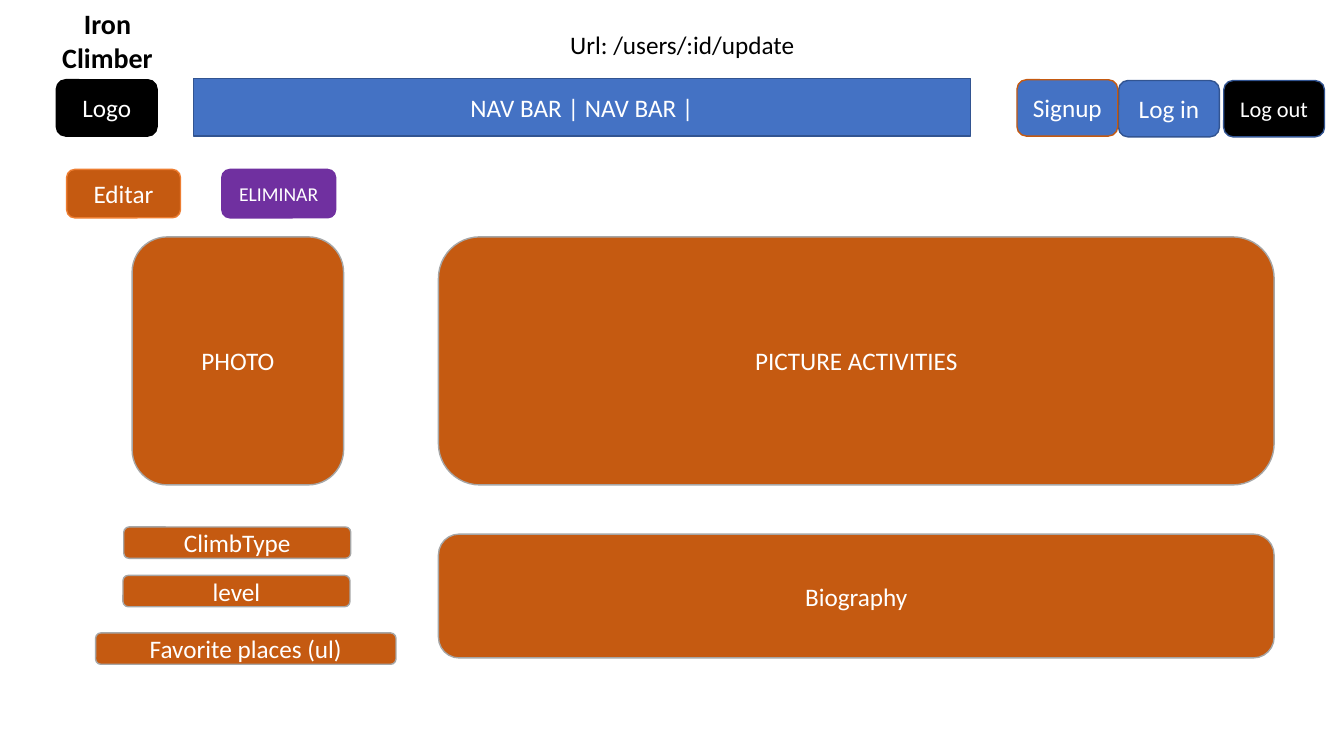
"""Build the user update page wireframe slide."""
import pptx
import pptx.util
import pptx.dml.color
import pptx.enum.shapes
import pptx.enum.text

Cm = pptx.util.Cm
RGBColor = pptx.dml.color.RGBColor
SHAPE = pptx.enum.shapes.MSO_SHAPE
ALIGN = pptx.enum.text.PP_ALIGN
ANCHOR = pptx.enum.text.MSO_ANCHOR

WHITE = RGBColor(0xFF, 0xFF, 0xFF)
BLACK = RGBColor(0x00, 0x00, 0x00)
BLUE = RGBColor(0x44, 0x72, 0xC4)
NAVY = RGBColor(0x32, 0x54, 0x91)
RUST = RGBColor(0xC5, 0x5A, 0x11)
ORANGE = RGBColor(0xED, 0x7D, 0x31)
PURPLE = RGBColor(0x70, 0x30, 0xA0)
GRAY = RGBColor(0xA6, 0xA6, 0xA6)

NAV_BUTTON = (2.54, 1.42)
ACTION_BUTTON = (2.87, 1.22)
FIELD = (5.72, 0.79)
TOP_ROW, PANEL_TOP, ACTION_TOP = 2.01, 5.97, 4.27
PANEL_LEFT, PANEL_WIDTH, PANEL_HEIGHT = 11.05, 21.06, 6.25

# text, (left, top), (width, height), fill, line, size
BOXES = [
    ("Log in", (28.19, 2.03), NAV_BUTTON, BLUE, NAVY, 18),
    ("Logo", (1.42, TOP_ROW), NAV_BUTTON, BLACK, BLACK, 18),
    ("NAV BAR | NAV BAR |", (4.88, 1.98), (19.58, 1.45), BLUE, NAVY, 18),
    ("Signup", (25.63, TOP_ROW), NAV_BUTTON, BLUE, RUST, 18),
    ("Log out", (30.84, 2.03), NAV_BUTTON, BLACK, NAVY, 16),
    ("PHOTO", (3.33, PANEL_TOP), (5.33, PANEL_HEIGHT), RUST, GRAY, 18),
    ("ClimbType", (3.12, 13.28), FIELD, RUST, GRAY, 18),
    ("level", (3.1, 14.5), FIELD, RUST, GRAY, 18),
    ("Favorite places (ul)", (2.41, 15.95), (7.57, 0.79), RUST, GRAY, 18),
    ("PICTURE ACTIVITIES", (PANEL_LEFT, PANEL_TOP), (PANEL_WIDTH, PANEL_HEIGHT), RUST, GRAY, 18),
    ("Biography", (PANEL_LEFT, 13.46), (PANEL_WIDTH, 3.12), RUST, GRAY, 18),
    ("Editar", (1.68, ACTION_TOP), ACTION_BUTTON, RUST, ORANGE, 18),
    ("ELIMINAR", (5.59, ACTION_TOP), ACTION_BUTTON, PURPLE, PURPLE, 14),
]
LABELS = [
    (["Iron", "Climber"], (1.3, 0.05), (2.82, 1.96), ALIGN.CENTER, 20, True),
    (["Url: /users/:id/update"], (14.12, 0.61), (6.22, 1.02), ALIGN.LEFT, 18, False),
]


def write(tf, lines, align, color, **font):
    """Fill a text frame with one paragraph per line."""
    for i, line in enumerate(lines):
        p = tf.paragraphs[0] if i == 0 else tf.add_paragraph()
        p.alignment = align
        r = p.add_run()
        r.text = line
        for name, value in font.items():
            setattr(r.font, name, value)
        r.font.color.rgb = color


def main():
    """Draw the boxes and labels and save the slide."""
    prs = pptx.Presentation()
    prs.slide_width, prs.slide_height = Cm(33.87), Cm(19.05)
    s = prs.slides.add_slide(prs.slide_layouts[6])

    for text, place, extent, fill, line, size in BOXES:
        kind = SHAPE.RECTANGLE if text.startswith("NAV") else SHAPE.ROUNDED_RECTANGLE
        sp = s.shapes.add_shape(kind, *map(Cm, place + extent))
        sp.shadow.inherit = False
        sp.fill.solid()
        sp.fill.fore_color.rgb = fill
        sp.line.color.rgb = line
        sp.line.width = pptx.util.Pt(1)
        sp.text_frame.vertical_anchor = ANCHOR.MIDDLE
        write(sp.text_frame, [text], ALIGN.CENTER, WHITE, name="Calibri", size=pptx.util.Pt(size))

    for lines, place, extent, align, size, bold in LABELS:
        tf = s.shapes.add_textbox(*map(Cm, place + extent)).text_frame
        tf.word_wrap = False
        tf.auto_size = pptx.enum.text.MSO_AUTO_SIZE.SHAPE_TO_FIT_TEXT
        write(tf, lines, align, BLACK, name="Calibri", size=pptx.util.Pt(size), bold=bold)

    prs.save("out.pptx")


if __name__ == "__main__":
    main()
